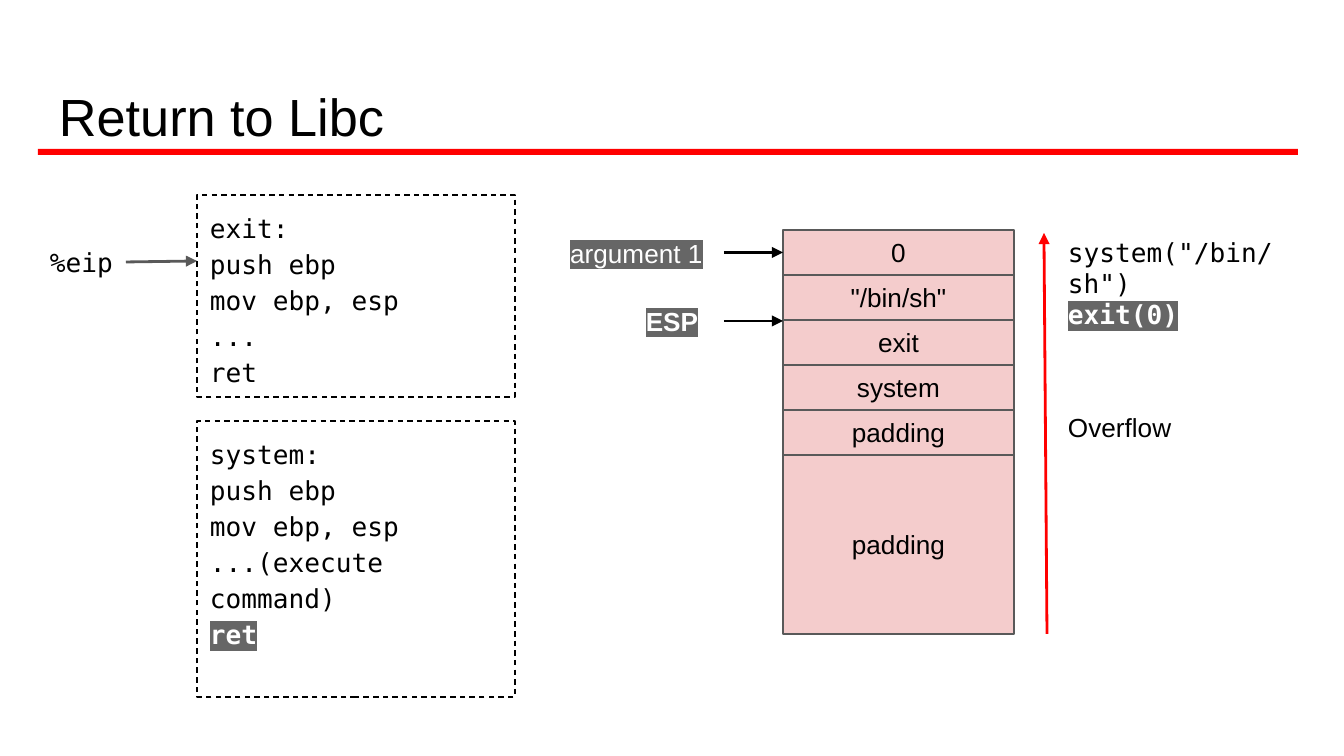
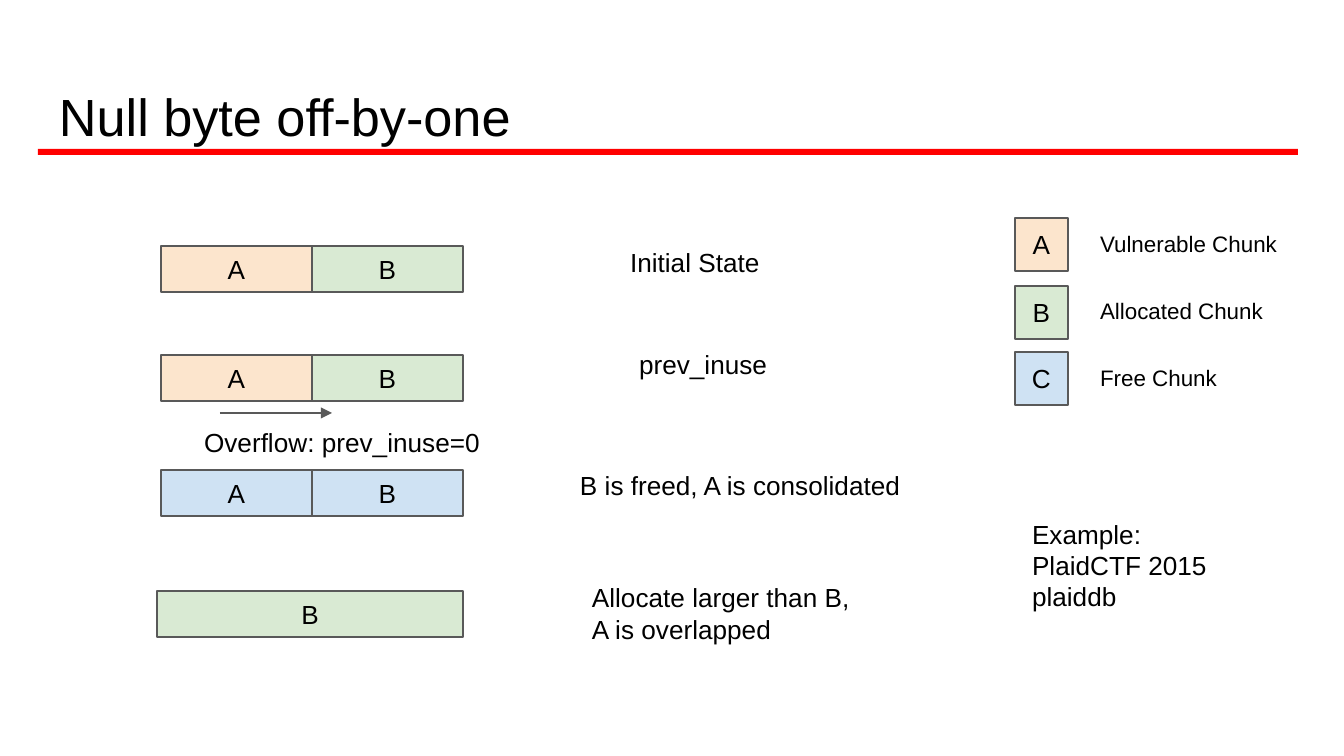
from lxml.etree import SubElement
from pptx import Presentation
from pptx.dml.color import RGBColor
from pptx.enum.dml import MSO_LINE as Dash
from pptx.enum.shapes import MSO_CONNECTOR as Link, MSO_SHAPE as Preset
from pptx.enum.text import MSO_ANCHOR as Anchor, PP_ALIGN as Align
from pptx.oxml import parse_xml
from pptx.oxml.ns import nsdecls, qn
from pptx.util import Emu, Pt

SCALE = 914400 / 134.4
WIDTH, HEIGHT = 1344, 756
INSET = 13
SANS, MONO = "Arial", "DejaVu Sans Mono"

BLACK = RGBColor(0x00, 0x00, 0x00)
WHITE = RGBColor(0xFF, 0xFF, 0xFF)
RED = RGBColor(0xFF, 0x00, 0x00)
GREY = RGBColor(0x59, 0x59, 0x59)
PINK = RGBColor(0xF4, 0xCC, 0xCC)
ORANGE = RGBColor(0xFC, 0xE5, 0xCD)
GREEN = RGBColor(0xD9, 0xEA, 0xD3)
BLUE = RGBColor(0xCF, 0xE2, 0xF3)
MARKER = "666666"


def px(length):
    return Emu(round(length * SCALE))


def box_px(*lengths):
    return [px(length) for length in lengths]


def highlight(font):
    fill = font._rPr.find(qn("a:solidFill"))
    fill.addnext(parse_xml(
        f'<a:highlight {nsdecls("a")}><a:srgbClr val="{MARKER}"/></a:highlight>'))


def write(frame, text, size=14, font=SANS, align=Align.LEFT, anchor=Anchor.TOP,
          spacing=None, marked=None, bold_mark=True, top_inset=INSET):
    frame.word_wrap = True
    frame.vertical_anchor = anchor
    frame.margin_left = frame.margin_right = frame.margin_bottom = px(INSET)
    frame.margin_top = px(top_inset)
    for number, line in enumerate(text.split("\n")):
        paragraph = frame.add_paragraph() if number else frame.paragraphs[0]
        paragraph.alignment = align
        if spacing:
            paragraph.line_spacing = spacing
        run = paragraph.add_run()
        run.text = line
        run.font.size = Pt(size)
        run.font.name = font
        run.font.color.rgb = WHITE if line == marked else BLACK
        if line == marked:
            run.font.bold = bold_mark
            highlight(run.font)


def label(slide, place, text, **style):
    caption = slide.shapes.add_textbox(*box_px(*place))
    write(caption.text_frame, text, **style)
    return caption


def rectangle(slide, place, fill=None, line=GREY):
    area = slide.shapes.add_shape(Preset.RECTANGLE, *box_px(*place))
    area.shadow.inherit = False
    if fill is None:
        area.fill.background()
    else:
        area.fill.solid()
        area.fill.fore_color.rgb = fill
    if line is None:
        area.line.fill.background()
    else:
        area.line.color.rgb = line
        area.line.width = Pt(0.75)
    return area


def cell(slide, place, text, fill):
    block = rectangle(slide, place, fill)
    write(block.text_frame, text, align=Align.CENTER, anchor=Anchor.MIDDLE)
    return block


def code_box(slide, place, code, marked=None):
    listing = rectangle(slide, place, line=BLACK)
    listing.line.dash_style = Dash.DASH
    write(listing.text_frame, code, font=MONO, spacing=1.15, marked=marked)


def arrow(slide, start, end, color):
    pointer = slide.shapes.add_connector(Link.STRAIGHT, *box_px(*start, *end))
    pointer.line.color.rgb = color
    pointer.line.width = Pt(1.5)
    SubElement(pointer.line._get_or_add_ln(), qn("a:tailEnd"), type="triangle")
    SubElement(pointer._element.spPr, qn("a:effectLst"))
    return pointer


def titled_slide(deck, title):
    slide = deck.slides.add_slide(deck.slide_layouts[6])
    rectangle(slide, (38, 149, 1260, 6), RED, line=None)
    label(slide, (46, 66, 1252, 84), title, size=28, top_inset=18)
    return slide


def return_to_libc(deck):
    slide = titled_slide(deck, "Return to Libc")

    stack_left, stack_top, stack_width, row = 783, 230, 231, 45
    entries = ["0", '"/bin/sh"', "exit", "system", "padding"]
    words = [cell(slide, (stack_left, stack_top + i * row, stack_width, row), entry, PINK)
             for i, entry in enumerate(entries)]
    buffer_top = stack_top + len(entries) * row
    cell(slide, (stack_left, buffer_top, stack_width, 179), "padding", PINK)

    label(slide, (554, 230, 165, 46), "argument 1", align=Align.CENTER,
          anchor=Anchor.MIDDLE, marked="argument 1", bold_mark=False)
    argument_arrow = arrow(slide, (724, 253), (stack_left, 253), BLACK)
    argument_arrow.end_connect(words[0], 1)
    argument_arrow.begin_y = argument_arrow.end_y
    label(slide, (625, 298, 94, 46), "ESP", align=Align.CENTER,
          anchor=Anchor.MIDDLE, marked="ESP")
    arrow(slide, (724, 321), (stack_left, 321), BLACK)

    arrow(slide, (1047, 634), (1044, 233), RED)
    label(slide, (1055, 398, 131, 46), "Overflow")
    label(slide, (1055, 223, 276, 101), 'system("/bin/sh")\nexit(0)',
          font=MONO, marked="exit(0)")

    register = label(slide, (32, 242, 94, 40), "%eip", font=MONO,
                     align=Align.RIGHT, anchor=Anchor.MIDDLE)
    arrow(slide, (126, 262), (197, 261), GREY).begin_connect(register, 3)
    code_box(slide, (197, 195, 318, 202),
             "exit:\npush ebp\nmov ebp, esp\n...\nret")
    code_box(slide, (197, 421, 318, 276),
             "system:\npush ebp\nmov ebp, esp\n...(execute command)\nret", marked="ret")


def null_byte(deck):
    slide = titled_slide(deck, "Null byte off-by-one")

    chunk_left, chunk_width, chunk_height = 161, 151, 46
    for top, fills in ((246, (ORANGE, GREEN)), (355, (ORANGE, GREEN)), (470, (BLUE, BLUE))):
        for i, (name, fill) in enumerate(zip("AB", fills)):
            cell(slide, (chunk_left + i * chunk_width, top, chunk_width, chunk_height),
                 name, fill)
    cell(slide, (157, 591, 306, chunk_height), "B", GREEN)

    legend = (("A", ORANGE, 218, "Vulnerable Chunk"),
              ("B", GREEN, 286, "Allocated Chunk"),
              ("C", BLUE, 352, "Free Chunk"))
    for i, (name, fill, top, meaning) in enumerate(legend):
        cell(slide, (1015, top, 53, 53), name, fill)
        label(slide, (1087, 223 + i * 67, 226, 42), meaning, size=12, anchor=Anchor.MIDDLE)

    steps = (((617, 241, 226, 42), "Initial State"),
             ((626, 343, 226, 42), "prev_inuse"),
             ((567, 464, 356, 42), "B is freed, A is consolidated"),
             ((579, 585, 320, 56), "Allocate larger than B,\nA is overlapped"),
             ((191, 421, 368, 42), "Overflow: prev_inuse=0"))
    for place, text in steps:
        label(slide, place, text, anchor=Anchor.MIDDLE)
    arrow(slide, (220, 413), (332, 413), GREY)
    label(slide, (1019, 505, 286, 159), "Example:\nPlaidCTF 2015\nplaiddb")


def main():
    deck = Presentation()
    deck.slide_width, deck.slide_height = px(WIDTH), px(HEIGHT)
    return_to_libc(deck)
    null_byte(deck)
    deck.save("out.pptx")


if __name__ == "__main__":
    main()
